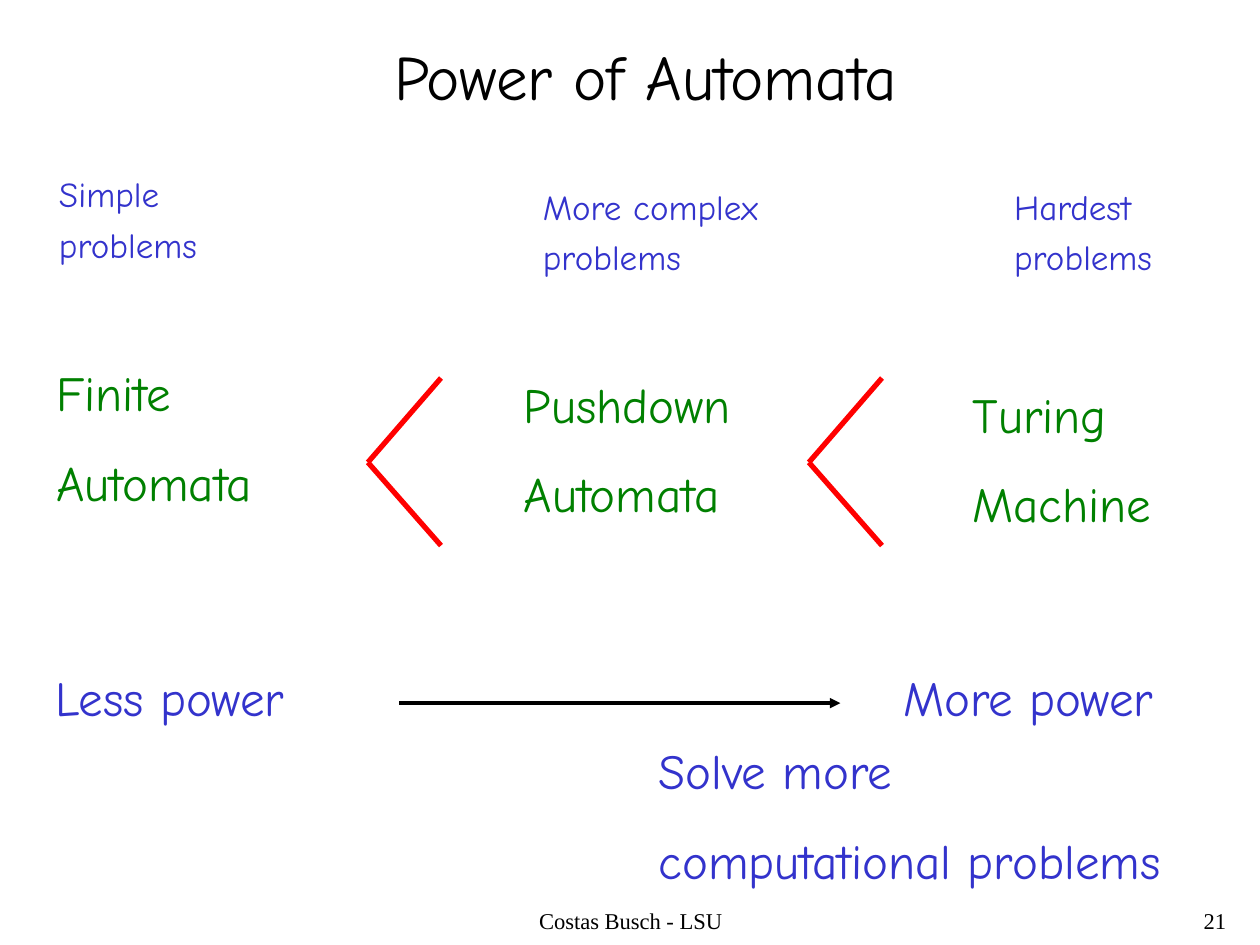
from lxml import etree
from pptx import Presentation
from pptx.dml.color import RGBColor
from pptx.enum import shapes, text
from pptx.oxml import ns
from pptx.util import Inches, Pt

BLACK = RGBColor(0, 0, 0)
GREEN = RGBColor(0, 0x80, 0)
BLUE = RGBColor(0x33, 0x33, 0xCC)
RED = RGBColor(0xFF, 0, 0)
HAND = "Comic Neue"
SERIF = "Times New Roman"
LEFT, MID, RIGHT = text.PP_ALIGN.LEFT, text.PP_ALIGN.CENTER, text.PP_ALIGN.RIGHT


def write(box, words, size, color, gap=0, font=HAND, align=LEFT):
    """Fill a box with words, one paragraph a line, gap points apart."""
    frame = box.text_frame
    frame.text = words
    frame.word_wrap = font == SERIF
    frame.auto_size = (text.MSO_AUTO_SIZE.NONE if font == SERIF
                       else text.MSO_AUTO_SIZE.SHAPE_TO_FIT_TEXT)
    frame.vertical_anchor = text.MSO_ANCHOR.TOP
    for i, par in enumerate(frame.paragraphs):
        par.alignment = align
        par.space_before = Pt(gap if i else 0)
        for run in par.runs:
            run.font.name = font
            run.font.size = Pt(size)
            run.font.color.rgb = color


def draw(x1, y1, x2, y2, color, width):
    line = slide.shapes.add_connector(
        shapes.MSO_CONNECTOR.STRAIGHT,
        Inches(x1), Inches(y1), Inches(x2), Inches(y2))
    line.line.color.rgb = color
    line.line.width = Pt(width)
    etree.SubElement(line._element.spPr, ns.qn("a:effectLst"))
    return line


deck = Presentation()
deck.slide_width = Inches(10)
deck.slide_height = Inches(7.5)
slide = deck.slides.add_slide(deck.slide_layouts[5])

# Title
title = slide.shapes.title
title.left, title.top = Inches(3.03), Inches(0.25)
title.width, title.height = Inches(4.25), Inches(0.7)
write(title, "Power of Automata", 36, BLACK)

# Problem classes, machines and their power
labels = [
    ("Simple\nproblems", 0.37, 1.32, 1.3, 0.84, 20, BLUE, 5),
    ("More complex\nproblems", 4.21, 1.42, 1.91, 0.84, 20, BLUE, 5),
    ("Hardest\nproblems", 7.95, 1.42, 1.3, 0.84, 20, BLUE, 5),
    ("Finite\nAutomata", 0.35, 2.83, 1.77, 1.28, 28, GREEN, 17.5),
    ("Pushdown\nAutomata", 4.06, 2.92, 1.84, 1.28, 28, GREEN, 17.5),
    ("Turing\nMachine", 7.62, 3, 1.62, 1.28, 28, GREEN, 17.5),
    ("Less power", 0.34, 5.25, 2.03, 0.57, 28, BLUE, 0),
    ("More power", 7.07, 5.25, 2.2, 0.57, 28, BLUE, 0),
    ("Solve more\ncomputational problems", 5.13, 5.83, 4.2, 1.28, 28, BLUE, 17.5),
]
for words, x, y, w, h, size, color, gap in labels:
    box = slide.shapes.add_textbox(Inches(x), Inches(y), Inches(w), Inches(h))
    write(box, words, size, color, gap)

# Less-than signs
for x in (2.92, 6.42):
    for end in (3, 4.33):
        draw(x, 3.67, x + 0.58, end, RED, 3)

# Power arrow
arrow = draw(3.17, 5.58, 6.67, 5.58, BLACK, 2)
etree.SubElement(arrow.line._get_or_add_ln(), ns.qn("a:tailEnd"), type="triangle")

# Footer and page number
for words, x, w, align in (("Costas Busch - LSU", 3.42, 3.17, MID),
                           ("21", 7.75, 2.08, RIGHT)):
    foot = slide.shapes.add_textbox(Inches(x), Inches(7.17), Inches(w), Inches(0.33))
    write(foot, words, 12.9, BLACK, font=SERIF, align=align)
    foot.text_frame.paragraphs[0].line_spacing = 0.9

deck.save("out.pptx")
